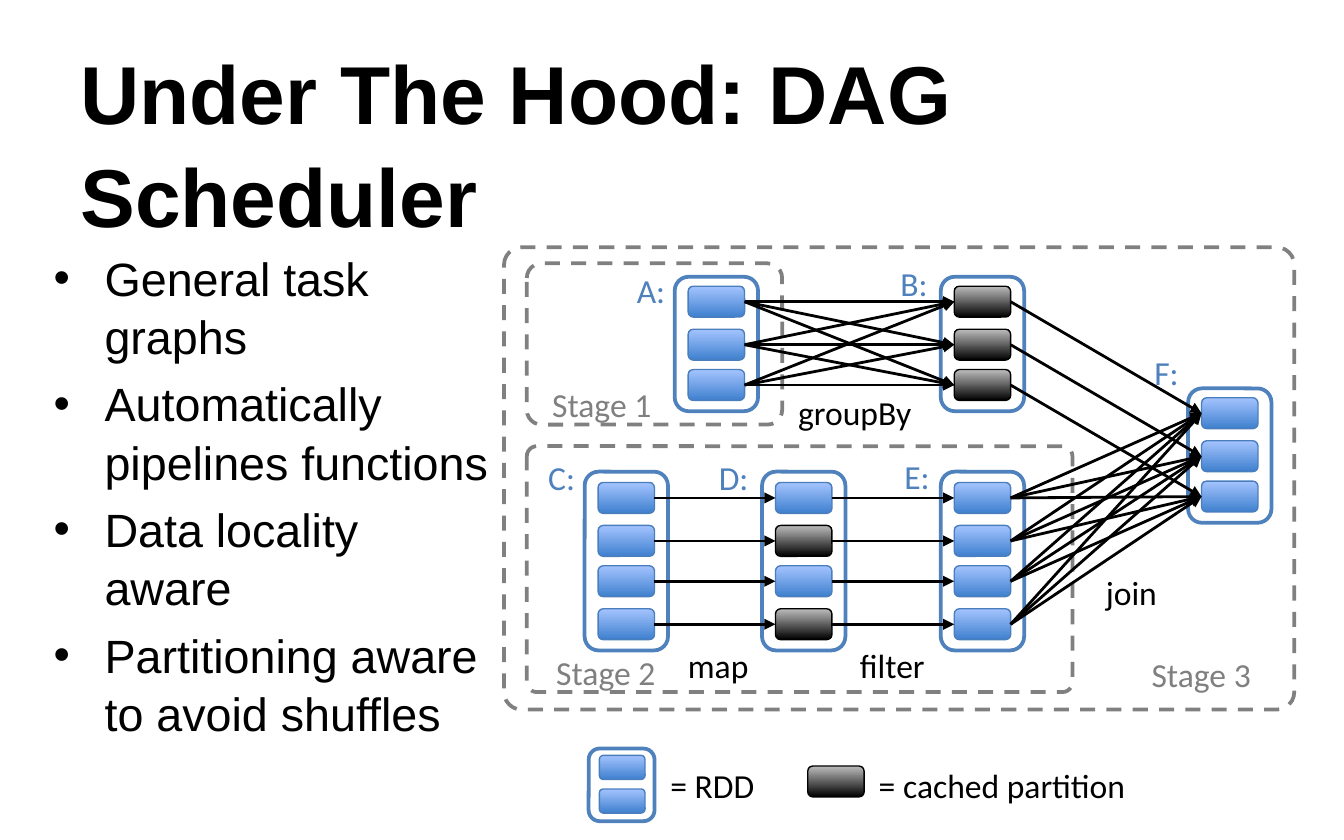
from dataclasses import dataclass
from itertools import product

from lxml import etree
from pptx import Presentation
from pptx import util as u
from pptx.dml.color import RGBColor
from pptx.enum import dml, shapes, text
from pptx.oxml import ns

PX = u.Inches(0.01)
BLACK, WHITE, GREY, BLUE = "000000", "FFFFFF", "808080", "4F81BD"
COLUMN_WIDTH, COLUMN_PAD = 62, 10
PARTITION_SIZE = (42, 23)
PARTITION_STEPS = (0, 32, 62, 94)


@dataclass
class Rdd:
    name: str
    left: int
    top: int
    height: int
    first: int
    count: int
    cached: tuple = ()


@dataclass
class Stage:
    left: int
    top: int
    width: int
    height: int
    corner: float


@dataclass
class Label:
    words: str
    left: int
    top: int
    width: int
    color: str = BLACK


STAGES = [
    Stage(375, 184, 588, 344, 0.038),
    Stage(392, 196, 190, 120, 0.091),
    Stage(392, 332, 406, 183, 0.041),
]
RDDS = [
    Rdd("A", 502, 206, 100, 213, 3),
    Rdd("B", 700, 206, 100, 213, 3, (0, 1, 2)),
    Rdd("C", 435, 351, 133, 359, 4),
    Rdd("D", 567, 351, 133, 359, 4, (1, 3)),
    Rdd("E", 700, 351, 133, 359, 4),
    Rdd("F", 884, 289, 100, 296, 3),
]
NARROW_LINKS = ["CD", "DE", "BF"]
WIDE_LINKS = ["AB", "EF"]
LABELS = [
    Label("A:", 464, 196, 43, BLUE),
    Label("B:", 660, 191, 42, BLUE),
    Label("C:", 398, 335, 42, BLUE),
    Label("D:", 525, 335, 44, BLUE),
    Label("E:", 663, 334, 41, BLUE),
    Label("F:", 849, 257, 40, BLUE),
    Label("Stage 1", 401, 281, 98, GREY),
    Label("Stage 2", 404, 480, 99, GREY),
    Label("Stage 3", 847, 482, 98, GREY),
    Label("groupBy", 584, 287, 109),
    Label("map", 502, 475, 67),
    Label("filter", 630, 475, 69),
    Label("join", 813, 421, 60),
    Label("= RDD", 489, 564, 87),
    Label("= cached partition", 644, 564, 207),
]
BULLETS = [
    "General task graphs",
    "Automatically pipelines functions",
    "Data locality aware",
    "Partitioning aware\vto avoid shuffles",
]


def rgb(color: str) -> RGBColor:
    return RGBColor.from_string(color)


def add_rounded(page, left: int, top: int, width: int, height: int,
                line: str, points: float):
    shape = page.shapes.add_shape(shapes.MSO_SHAPE.ROUNDED_RECTANGLE,
                                  left * PX, top * PX, width * PX, height * PX)
    shape.shadow.inherit = False
    shape.line.color.rgb = rgb(line)
    shape.line.width = u.Pt(points)
    return shape


def add_stage(page, stage: Stage) -> None:
    shape = add_rounded(page, stage.left, stage.top, stage.width, stage.height, GREY, 2)
    shape.adjustments[0] = stage.corner
    shape.fill.background()
    shape.line.dash_style = dml.MSO_LINE.DASH


def add_column(page, left: int, top: int, width: int, height: int) -> None:
    shape = add_rounded(page, left, top, width, height, BLUE, 2)
    shape.fill.solid()
    shape.fill.fore_color.rgb = rgb(WHITE)


def add_partition(page, left: int, top: int, size: tuple = PARTITION_SIZE,
                  cached: bool = False):
    line, dark, light = (BLACK, BLACK, "BDBDBD") if cached else ("4B7EBC", "3F80CE", "A4C4FF")
    shape = add_rounded(page, left, top, *size, line, 0.75)
    shape.fill.gradient()
    shape.fill.gradient_angle = 90
    for stop, color in zip(shape.fill.gradient_stops, (dark, light)):
        stop.color.rgb = rgb(color)
    return shape


def add_rdd(page, rdd: Rdd) -> list:
    add_column(page, rdd.left, rdd.top, COLUMN_WIDTH, rdd.height)
    return [
        add_partition(page, rdd.left + COLUMN_PAD, rdd.first + step, cached=i in rdd.cached)
        for i, step in enumerate(PARTITION_STEPS[:rdd.count])
    ]


def add_arrow(page, source, target) -> None:
    arrow = page.shapes.add_connector(shapes.MSO_CONNECTOR.STRAIGHT, 0, 0, 0, 0)
    arrow.begin_connect(source, 3)
    arrow.end_connect(target, 1)
    arrow.line.color.rgb = rgb(BLACK)
    arrow.line.width = u.Pt(1.5)
    etree.SubElement(arrow.line._get_or_add_ln(), ns.qn("a:tailEnd"), type="triangle")
    etree.SubElement(arrow._element.spPr, ns.qn("a:effectLst"))


def add_text(page, words: list, left: int, top: int, width: int, height: int,
             size: int, font: str, color: str = BLACK, bold: bool = False):
    box = page.shapes.add_textbox(left * PX, top * PX, width * PX, height * PX)
    frame = box.text_frame
    frame.word_wrap = True
    frame.text = "\n".join(words)
    for para in frame.paragraphs:
        for span in para.runs:
            span.font.size = u.Pt(size)
            span.font.name = font
            span.font.bold = bold
            span.font.color.rgb = rgb(color)
    return frame


def add_label(page, label: Label) -> None:
    frame = add_text(page, [label.words], label.left, label.top, label.width, 40,
                     18, "Calibri", label.color)
    frame.word_wrap = False
    frame.auto_size = text.MSO_AUTO_SIZE.SHAPE_TO_FIT_TEXT


def add_title(page) -> None:
    frame = add_text(page, ["Under The Hood: DAG Scheduler"], 50, 53, 900, 104,
                     44, "Arial", bold=True)
    frame.vertical_anchor = text.MSO_ANCHOR.MIDDLE
    frame.paragraphs[0].line_spacing = 1.04


def add_bullets(page) -> None:
    frame = add_text(page, BULLETS, 30, 179, 345, 392, 25, "Arial")
    for para in frame.paragraphs:
        para.space_before = u.Pt(5)
        para.line_spacing = 1.04
        properties = para._p.get_or_add_pPr()
        properties.set("marL", str(38 * PX))
        properties.set("indent", str(-38 * PX))
        etree.SubElement(properties, ns.qn("a:buFont"), typeface="Arial")
        etree.SubElement(properties, ns.qn("a:buChar"), char="•")


def add_legend(page) -> None:
    add_column(page, 438, 557, 49, 54)
    for top in (562, 587):
        add_partition(page, 446, top, (34, 18))
    add_partition(page, 601, 570, cached=True)


def main() -> None:
    deck = Presentation()
    deck.slide_width, deck.slide_height = 1000 * PX, 625 * PX
    page = deck.slides.add_slide(deck.slide_layouts[6])
    add_title(page)
    add_bullets(page)
    add_legend(page)
    for stage in STAGES:
        add_stage(page, stage)
    parts = {rdd.name: add_rdd(page, rdd) for rdd in RDDS}
    pairs = [pair for a, b in NARROW_LINKS for pair in zip(parts[a], parts[b])]
    pairs += [pair for a, b in WIDE_LINKS for pair in product(parts[a], parts[b])]
    for source, target in pairs:
        add_arrow(page, source, target)
    for label in LABELS:
        add_label(page, label)
    deck.save("out.pptx")


if __name__ == "__main__":
    main()
